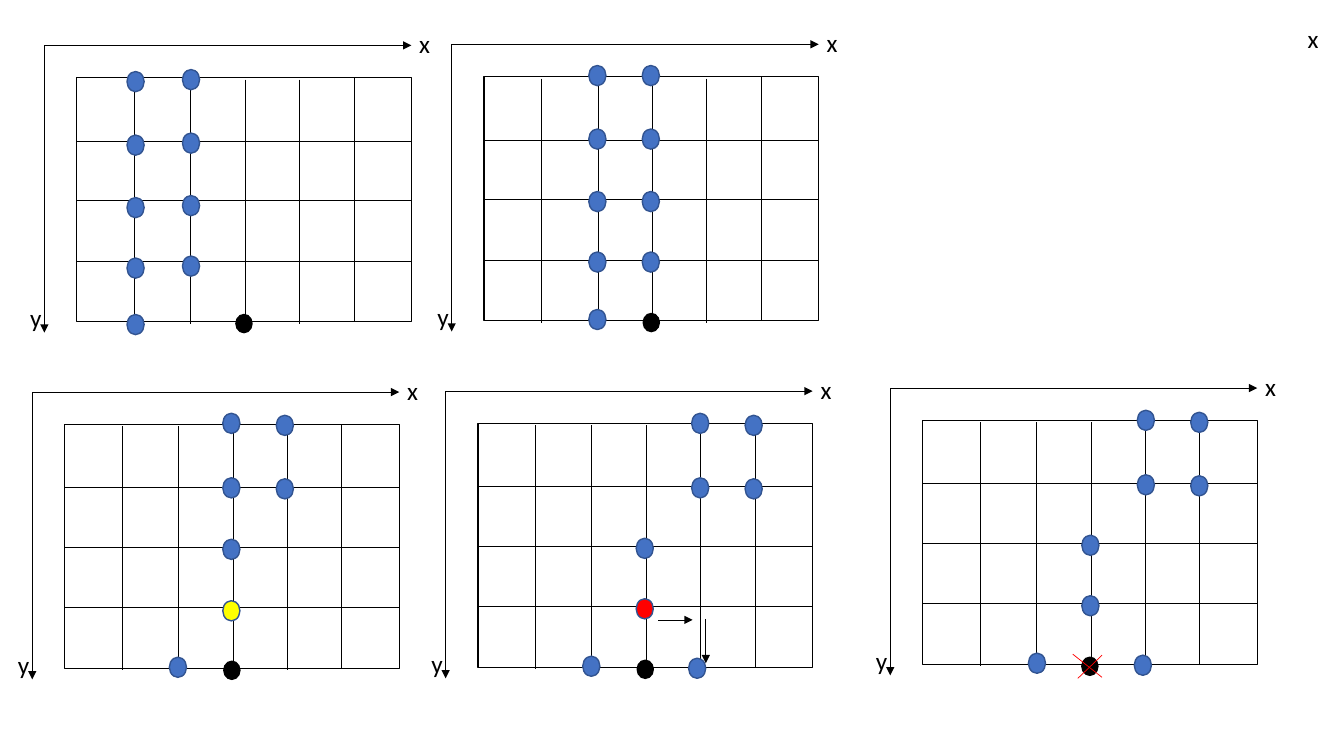
from lxml.etree import SubElement
from pptx import Presentation
from pptx.dml.color import RGBColor
from pptx.enum.shapes import MSO_CONNECTOR as CONN, MSO_SHAPE as SHAPE
from pptx.oxml.ns import qn
from pptx.util import Inches, Pt

BLACK, WHITE, RED, YELLOW = "000000", "FFFFFF", "FF0000", "FFFF00"
BLUE, NAVY = "4472C4", "325491"
rgb = RGBColor.from_string


def add_text(shapes, text, x, y, w=0.23, h=0.31, size=18, color=BLACK, font="Calibri"):
    tf = shapes.add_textbox(Inches(x), Inches(y), Inches(w), Inches(h)).text_frame
    tf.word_wrap = True
    r = tf.paragraphs[0].add_run()
    r.text = text
    r.font.name, r.font.size = font, Pt(size)
    r.font.color.rgb = rgb(color)


def add_line(shapes, x1, y1, x2, y2, color=BLACK, arrow=False):
    c = shapes.add_connector(CONN.STRAIGHT, Inches(x1), Inches(y1), Inches(x2), Inches(y2))
    c.line.width = Pt(0.5)
    c.line.color.rgb = rgb(color)
    if arrow:
        SubElement(c.line._get_or_add_ln(), qn("a:tailEnd"), type="triangle")
    SubElement(c._element.spPr, qn("a:effectLst"))


prs = Presentation()
prs.slide_width, prs.slide_height = Inches(13.33), Inches(7.5)
s = prs.slides.add_slide(prs.slide_layouts[6])

GRID_W, GRID_H = 3.32, 2.42
ROWS = [0.63, 1.22, 1.82]
COLUMNS = [0.57, 1.13, 1.67, 2.21, 2.75]
DOT_W, DOT_H = 0.17, 0.2

# Each panel: grid left, grid top, dot columns (left, tops), highlighted dot
panels = [
    (0.76, 0.77, [(1.81, [0.69, 1.32, 1.94, 2.54]),
                  (1.26, [0.71, 1.34, 1.96, 2.56, 3.12])], None),
    (4.8, 0.76, [(6.37, [0.65, 1.28, 1.9, 2.5]),
                 (5.84, [0.65, 1.28, 1.9, 2.5, 3.07])], None),
    (0.64, 4.21, [(2.21, [4.1, 4.74, 5.35]), (2.74, [4.12, 4.75]),
                  (1.68, [6.52])], (2.21, 5.96, YELLOW)),
    (4.74, 4.2, [(6.31, [5.34]), (6.86, [4.1, 4.74]), (7.39, [4.12, 4.75]),
                 (5.78, [6.51]), (6.83, [6.53])], (6.31, 5.94, RED)),
    (9.15, 4.17, [(10.73, [5.31, 5.91]), (11.28, [4.07, 4.71]), (11.81, [4.09, 4.72]),
                  (10.2, [6.48]), (11.25, [6.5])], None),
]

groups = []
for left, top, dot_columns, highlight in panels:
    shapes = s.shapes.add_group_shape().shapes
    groups.append(shapes)

    # Grid frame and inner lines
    frame = shapes.add_shape(SHAPE.RECTANGLE, Inches(left), Inches(top),
                             Inches(GRID_W), Inches(GRID_H))
    frame.shadow.inherit = False
    frame.fill.solid()
    frame.fill.fore_color.rgb = rgb(WHITE)
    frame.line.color.rgb = rgb(BLACK)
    frame.line.width = Pt(1)
    for dy in ROWS:
        add_line(shapes, left, top + dy, left + GRID_W, top + dy)
    for dx in COLUMNS:
        drop = 0 if dx == COLUMNS[-1] else 0.02
        add_line(shapes, left + dx, top + drop, left + dx, top + drop + GRID_H)

    # Axes with their labels
    x0, y0 = left - 0.32, top - 0.32
    add_line(shapes, x0, y0, x0, y0 + 2.85, arrow=True)
    add_line(shapes, x0, y0, x0 + 3.64, y0, arrow=True)
    add_text(shapes, "x", left + 3.3, top - 0.54)
    add_text(shapes, "y", left - 0.56, top + 2.18)

    # Dots, with the black one on the bottom edge
    dots = [(x, y, DOT_W, DOT_H, BLUE, NAVY) for x, ys in dot_columns for y in ys]
    dots.append((left + 1.58, top + 2.35, 0.16, 0.18, BLACK, BLACK))
    if highlight:
        x, y, color = highlight
        dots.append((x, y, DOT_W, DOT_H, color, NAVY))
    for x, y, w, h, fill, edge in dots:
        dot = shapes.add_shape(SHAPE.OVAL, Inches(x), Inches(y), Inches(w), Inches(h))
        dot.shadow.inherit = False
        dot.fill.solid()
        dot.fill.fore_color.rgb = rgb(fill)
        dot.line.color.rgb = rgb(edge)
        dot.line.width = Pt(1)

# Move arrows in the fourth panel
add_line(groups[3], 6.53, 6.15, 6.87, 6.15, arrow=True)
add_line(groups[3], 7, 6.14, 7, 6.58, arrow=True)

# Red cross over the black dot in the fifth panel
add_line(groups[4], 10.64, 6.49, 10.93, 6.72, color=RED)
add_line(groups[4], 10.93, 6.5, 10.69, 6.73, color=RED)

# Lone label at the top right
add_text(s.shapes, "x", 12.87, 0.18, w=0.26, h=0.29)

prs.save("out.pptx")
